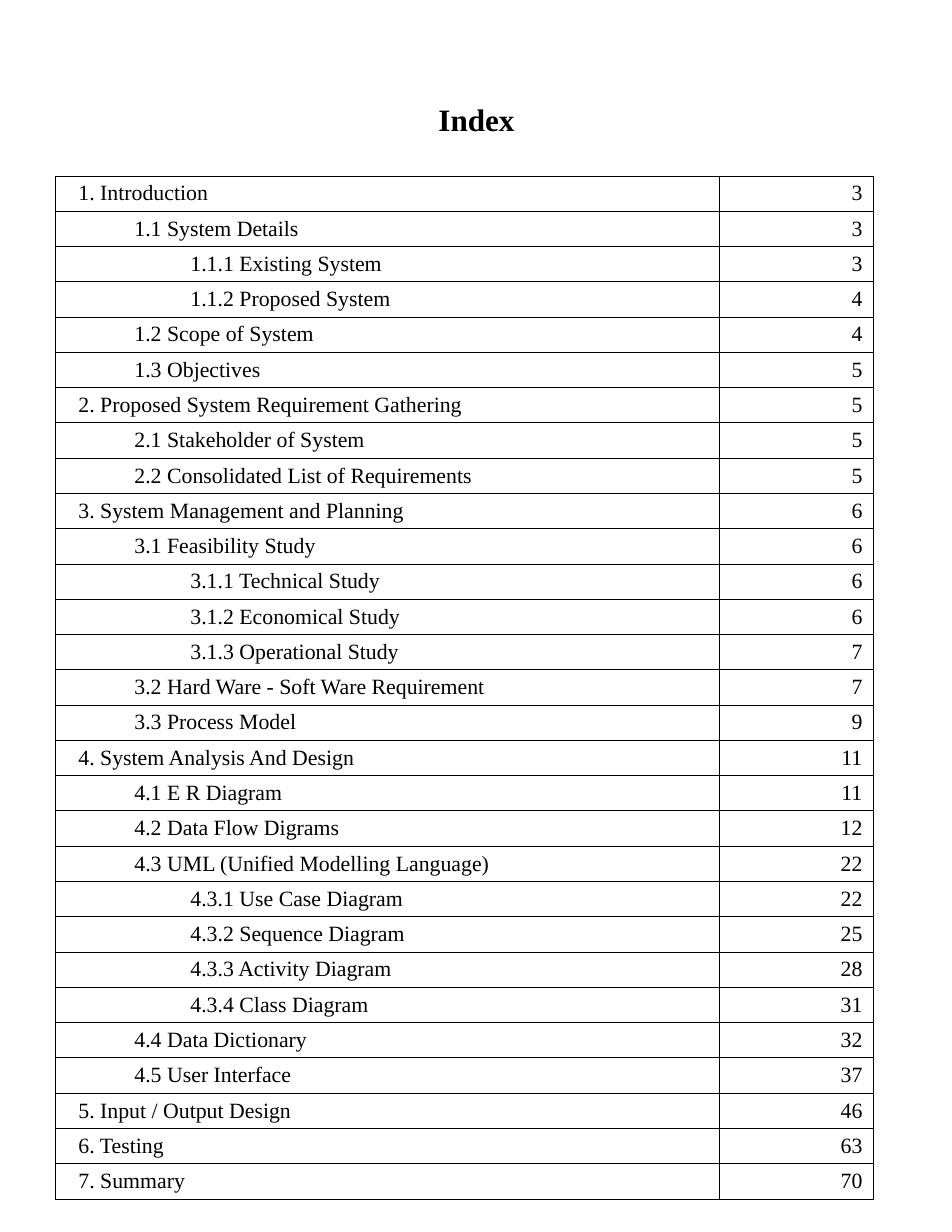
from dataclasses import dataclass

from lxml import etree
from pptx import Presentation
from pptx import util as u
from pptx.dml.color import RGBColor
from pptx.enum import text
from pptx.oxml.ns import qn


@dataclass(frozen=True)
class Theme:
    font: str = "Times New Roman"
    ink: str = "000000"
    title_size: float = 20
    body_size: float = 14
    border_width: float = 0.45


THEME = Theme()

FIRST_INDENT = 0.11
INDENT_STEP = 0.5
COLUMN_WIDTHS = (5.93, 1.38)
TABLE_HEIGHT = 9.14

# Outline level, heading and page number
ENTRIES = [
    (0, "1. Introduction", 3),
    (1, "1.1 System Details", 3),
    (2, "1.1.1 Existing System", 3),
    (2, "1.1.2 Proposed System", 4),
    (1, "1.2 Scope of System", 4),
    (1, "1.3 Objectives", 5),
    (0, "2. Proposed System Requirement Gathering", 5),
    (1, "2.1 Stakeholder of System", 5),
    (1, "2.2 Consolidated List of Requirements", 5),
    (0, "3. System Management and Planning", 6),
    (1, "3.1 Feasibility Study", 6),
    (2, "3.1.1 Technical Study", 6),
    (2, "3.1.2 Economical Study", 6),
    (2, "3.1.3 Operational Study", 7),
    (1, "3.2 Hard Ware - Soft Ware Requirement", 7),
    (1, "3.3 Process Model", 9),
    (0, "4. System Analysis And Design", 11),
    (1, "4.1 E R Diagram", 11),
    (1, "4.2 Data Flow Digrams", 12),
    (1, "4.3 UML (Unified Modelling Language)", 22),
    (2, "4.3.1 Use Case Diagram", 22),
    (2, "4.3.2 Sequence Diagram", 25),
    (2, "4.3.3 Activity Diagram", 28),
    (2, "4.3.4 Class Diagram", 31),
    (1, "4.4 Data Dictionary", 32),
    (1, "4.5 User Interface", 37),
    (0, "5. Input / Output Design", 46),
    (0, "6. Testing", 63),
    (0, "7. Summary", 70),
]


def set_attributes(target, values):
    for name, value in values.items():
        setattr(target, name, value)


def write_text(paragraph, words, size, bold=False, **paragraph_format):
    run = paragraph.add_run()
    run.text = words
    set_attributes(run.font, {"name": THEME.font, "size": u.Pt(size), "bold": bold})
    run.font.color.rgb = RGBColor.from_string(THEME.ink)
    set_attributes(paragraph, paragraph_format)


def add_title(slide):
    box = slide.shapes.add_textbox(u.Inches(3.9), u.Inches(0.9), u.Inches(0.71), u.Inches(0.23))
    frame = box.text_frame
    set_attributes(frame, {"margin_left": 0, "margin_top": 0, "margin_right": 0,
                           "margin_bottom": 0, "word_wrap": False})
    write_text(frame.paragraphs[0], "Index", THEME.title_size, bold=True,
               alignment=text.PP_ALIGN.CENTER, space_after=u.Pt(21))


def add_borders(cell):
    properties = cell._tc.get_or_add_tcPr()
    for side in ("a:lnL", "a:lnR", "a:lnT", "a:lnB"):
        line = etree.SubElement(properties, qn(side), w=str(u.Pt(THEME.border_width)))
        fill = etree.SubElement(line, qn("a:solidFill"))
        etree.SubElement(fill, qn("a:srgbClr"), val=THEME.ink)


def fill_cell(cell, words, level=None):
    paragraph = cell.text_frame.paragraphs[0]
    set_attributes(cell, {"margin_top": u.Inches(0.05), "margin_bottom": u.Inches(0.02)})
    if level is None:
        write_text(paragraph, words, THEME.body_size, alignment=text.PP_ALIGN.RIGHT)
    else:
        write_text(paragraph, words, THEME.body_size, alignment=text.PP_ALIGN.LEFT)
        indent = u.Inches(FIRST_INDENT + level * INDENT_STEP)
        paragraph._p.get_or_add_pPr().set("marL", str(indent))
    # Border lines come before the fill in the cell properties
    add_borders(cell)
    cell.fill.background()


def add_index_table(slide):
    frame = slide.shapes.add_table(len(ENTRIES), 2, u.Inches(0.49), u.Inches(1.57),
                                   u.Inches(sum(COLUMN_WIDTHS)), u.Inches(TABLE_HEIGHT))
    table = frame.table
    set_attributes(table, {"first_row": False, "horz_banding": False})
    for column, width in zip(table.columns, COLUMN_WIDTHS):
        column.width = u.Inches(width)
    for row, (level, heading, page) in zip(table.rows, ENTRIES):
        heading_cell, page_cell = row.cells
        fill_cell(heading_cell, heading, level)
        fill_cell(page_cell, str(page))


def main():
    presentation = Presentation()
    set_attributes(presentation, {"slide_width": u.Inches(8.5), "slide_height": u.Inches(11)})
    slide = presentation.slides.add_slide(presentation.slide_layouts[6])
    add_title(slide)
    add_index_table(slide)
    presentation.save("out.pptx")


if __name__ == "__main__":
    main()
